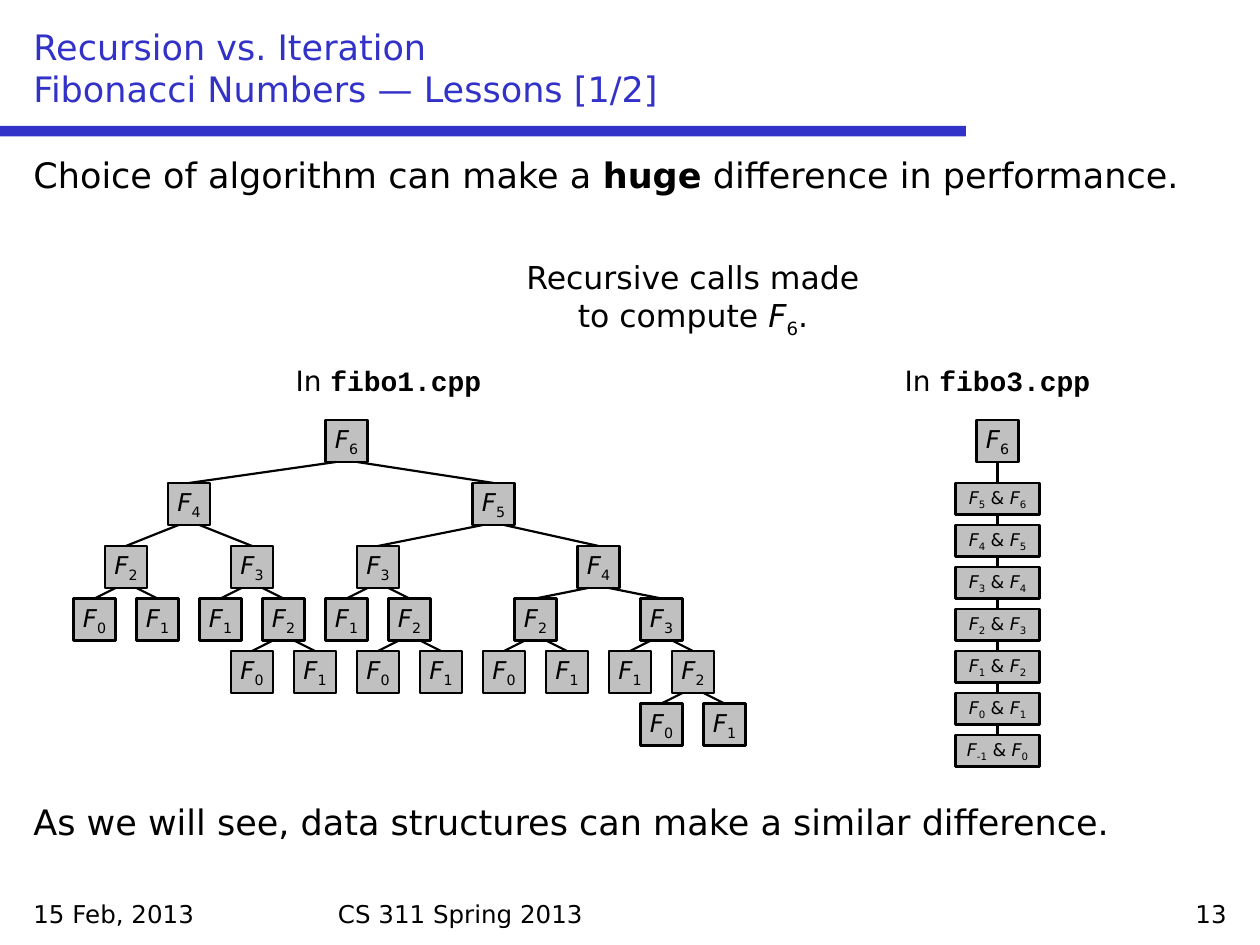
from dataclasses import dataclass, field
from typing import Any, NamedTuple

from lxml import etree
from pptx import Presentation, util as u
from pptx.dml.color import RGBColor
from pptx.enum import shapes as s, text as t
from pptx.oxml.ns import qn

PX = u.Inches(1) // 120


@dataclass(frozen=True)
class Theme:
    ink: RGBColor = RGBColor(0, 0, 0)
    blue: RGBColor = RGBColor(0x32, 0x32, 0xC8)
    gray: RGBColor = RGBColor(0xC0, 0xC0, 0xC0)
    sans: str = "DejaVu Sans"
    mono: str = "Courier New"
    head: int = 20
    note: int = 18
    label: int = 16
    node: int = 14
    pair: int = 10
    edge: float = 1.25


THEME = Theme()


class Box(NamedTuple):
    left: int
    top: int
    wide: int
    high: int

    @property
    def base(self) -> int:
        return self.top + self.high

    def emu(self) -> list[int]:
        return [n * PX for n in self]


class Piece(NamedTuple):
    words: str
    style: dict[str, Any] = {}
    sub: bool = False


class Para(NamedTuple):
    pieces: list[Piece]
    gap: int = 0


@dataclass
class Block:
    box: Box
    paras: list[Para]
    size: int
    color: RGBColor = THEME.ink
    align: t.PP_ALIGN = t.PP_ALIGN.LEFT
    frame: dict[str, Any] = field(default_factory=lambda: {"word_wrap": True})


CENTER = t.PP_ALIGN.CENTER
TITLE = [Piece("Recursion vs. Iteration"), Piece("\n"),
         Piece("Fibonacci Numbers — Lessons [1/2]")]
BODY = [
    Para([Piece("Choice of algorithm can make a "), Piece("huge", {"bold": True}),
          Piece(" difference in performance.")]),
    Para([Piece("As we will see, data structures can make a similar difference.")], 346),
]

FORK = {6: (-150, 140), 5: (-110, 100), 4: (-60, 60), 3: (-30, 30), 2: (-30, 30)}
ROWS = [400, 460, 520, 570, 620, 670]
SIDE = 40
FOOT = 10
TREE_X, CHAIN_X = 330, 950
PAIR_W, PAIR_H, PAIR_STEP = 80, 30, 40


def put(obj: Any, style: dict[str, Any]) -> None:
    for key, value in style.items():
        setattr(obj, key, value)


def fib(n: int) -> list[Piece]:
    return [Piece("F", {"italic": True}), Piece(str(n), sub=True)]


def write(frame: Any, block: Block) -> None:
    put(frame, block.frame)
    for i, para in enumerate(block.paras):
        line = frame.add_paragraph() if i else frame.paragraphs[0]
        line.alignment = block.align
        if para.gap:
            line.space_before = u.Pt(para.gap)
        for piece in para.pieces:
            if piece.words == "\n":
                line.add_line_break()
                continue
            run = line.add_run()
            run.text = piece.words
            put(run.font, {"name": THEME.sans, "size": u.Pt(block.size), **piece.style})
            run.font.color.rgb = block.color
            if piece.sub:
                run._r.get_or_add_rPr().set("baseline", "-25000")


def print_text(slide: Any, block: Block) -> None:
    write(slide.shapes.add_textbox(*block.box.emu()).text_frame, block)


def rect(slide: Any, box: Box, fill: RGBColor) -> Any:
    shape = slide.shapes.add_shape(s.MSO_SHAPE.RECTANGLE, *box.emu())
    shape.shadow.inherit = False
    shape.fill.solid()
    shape.fill.fore_color.rgb = fill
    return shape


def node(slide: Any, box: Box, pieces: list[Piece], size: int) -> None:
    shape = rect(slide, box, THEME.gray)
    shape.line.color.rgb = THEME.ink
    shape.line.width = u.Pt(THEME.edge)
    frame = {"word_wrap": False, "vertical_anchor": t.MSO_ANCHOR.MIDDLE}
    write(shape.text_frame, Block(box, [Para(pieces)], size, align=CENTER, frame=frame))


def link(slide: Any, x1: int, y1: int, x2: int, y2: int) -> None:
    ends = [n * PX for n in (x1, y1, x2, y2)]
    line = slide.shapes.add_connector(s.MSO_CONNECTOR.STRAIGHT, *ends)
    line.line.color.rgb = THEME.ink
    line.line.width = u.Pt(THEME.edge)
    etree.SubElement(line._element.spPr, qn("a:effectLst"))


def tree(slide: Any, n: int, mid: int, row: int = 0) -> None:
    box = Box(mid - SIDE // 2, ROWS[row], SIDE, SIDE)
    node(slide, box, fib(n), THEME.node)
    if n < 2:
        return
    for kid, shift, step in zip((n - 2, n - 1), FORK[n], (-FOOT, FOOT)):
        link(slide, mid + step, box.base, mid + shift, ROWS[row + 1])
        tree(slide, kid, mid + shift, row + 1)


def chain(slide: Any, n: int, mid: int) -> None:
    last = Box(mid - SIDE // 2, ROWS[0], SIDE, SIDE)
    node(slide, last, fib(n), THEME.node)
    for i, low in enumerate(range(n - 1, -2, -1)):
        box = Box(mid - PAIR_W // 2, ROWS[1] + i * PAIR_STEP, PAIR_W, PAIR_H)
        link(slide, mid, last.base, mid, box.top)
        node(slide, box, fib(low) + [Piece(" & ")] + fib(low + 1), THEME.pair)
        last = box


def label(box: Box, file: str) -> Block:
    code = Piece(file, {"name": THEME.mono, "bold": True})
    return Block(box, [Para([Piece("In "), code])], THEME.label, align=CENTER)


def foot(left: int, wide: int, words: str, align: t.PP_ALIGN = t.PP_ALIGN.LEFT) -> Block:
    return Block(Box(left, 850, wide, 40), [Para([Piece(words)])], THEME.node, align=align)


def main() -> None:
    deck = Presentation()
    put(deck, {"slide_width": 1200 * PX, "slide_height": 900 * PX})
    slide = deck.slides.add_slide(deck.slide_layouts[6])
    rect(slide, Box(0, 120, 920, 10), THEME.blue).line.fill.background()
    call = [Piece("Recursive calls made to compute "), *fib(6), Piece(".")]
    blocks = [
        foot(20, 280, "15 Feb, 2013"),
        foot(310, 580, "CS 311 Spring 2013"),
        foot(900, 280, "13", t.PP_ALIGN.RIGHT),
        Block(Box(20, 20, 1160, 90), [Para(TITLE)], THEME.head, THEME.blue,
              frame={"word_wrap": True, "vertical_anchor": t.MSO_ANCHOR.BOTTOM}),
        Block(Box(20, 140, 1160, 700), BODY, THEME.head),
        label(Box(250, 340, 240, 44), "fibo1.cpp"),
        label(Box(830, 340, 240, 44), "fibo3.cpp"),
        Block(Box(475, 240, 370, 85), [Para(call)], THEME.note, align=CENTER),
    ]
    for block in blocks:
        print_text(slide, block)
    tree(slide, 6, TREE_X)
    chain(slide, 6, CHAIN_X)
    deck.save("out.pptx")


if __name__ == "__main__":
    main()
